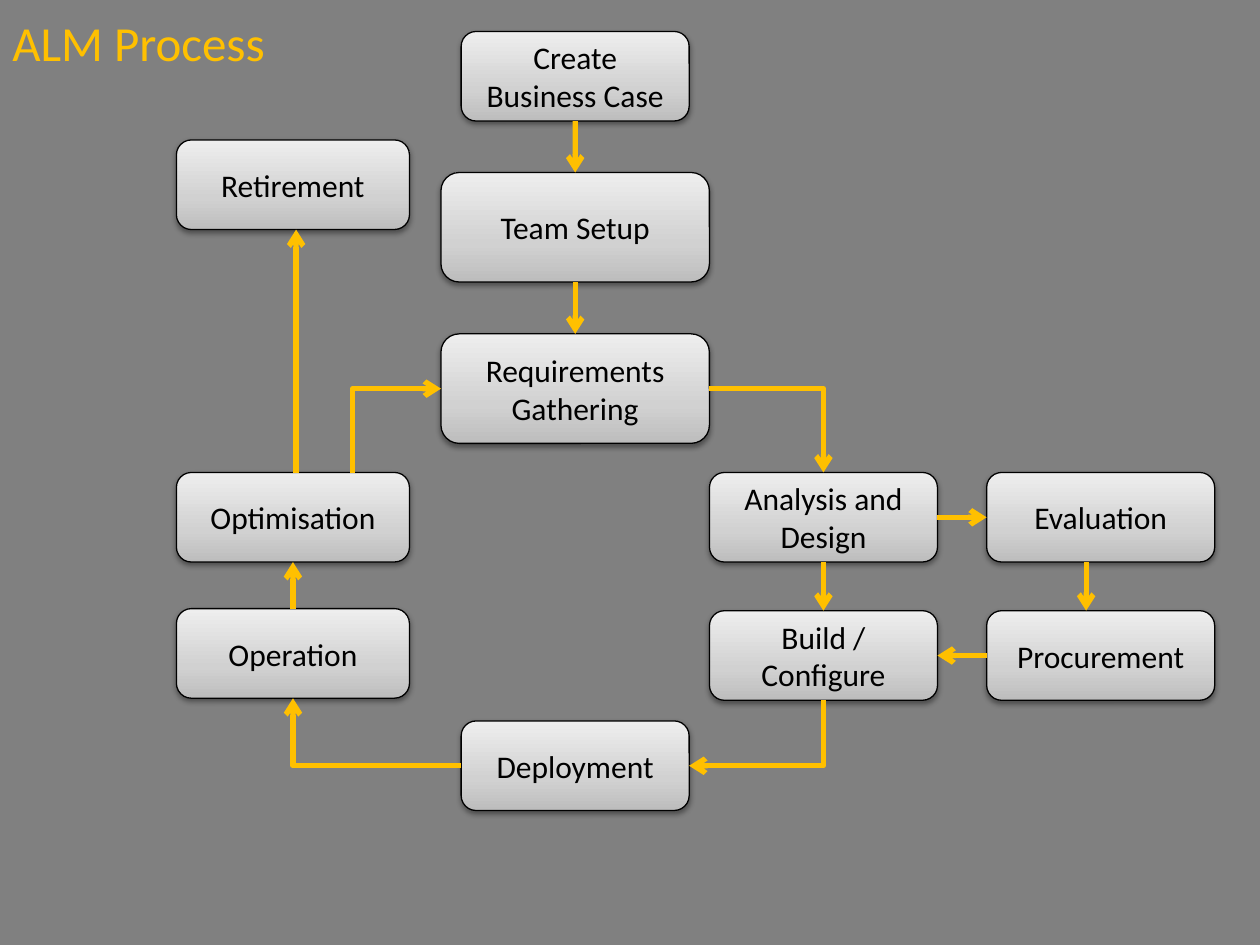
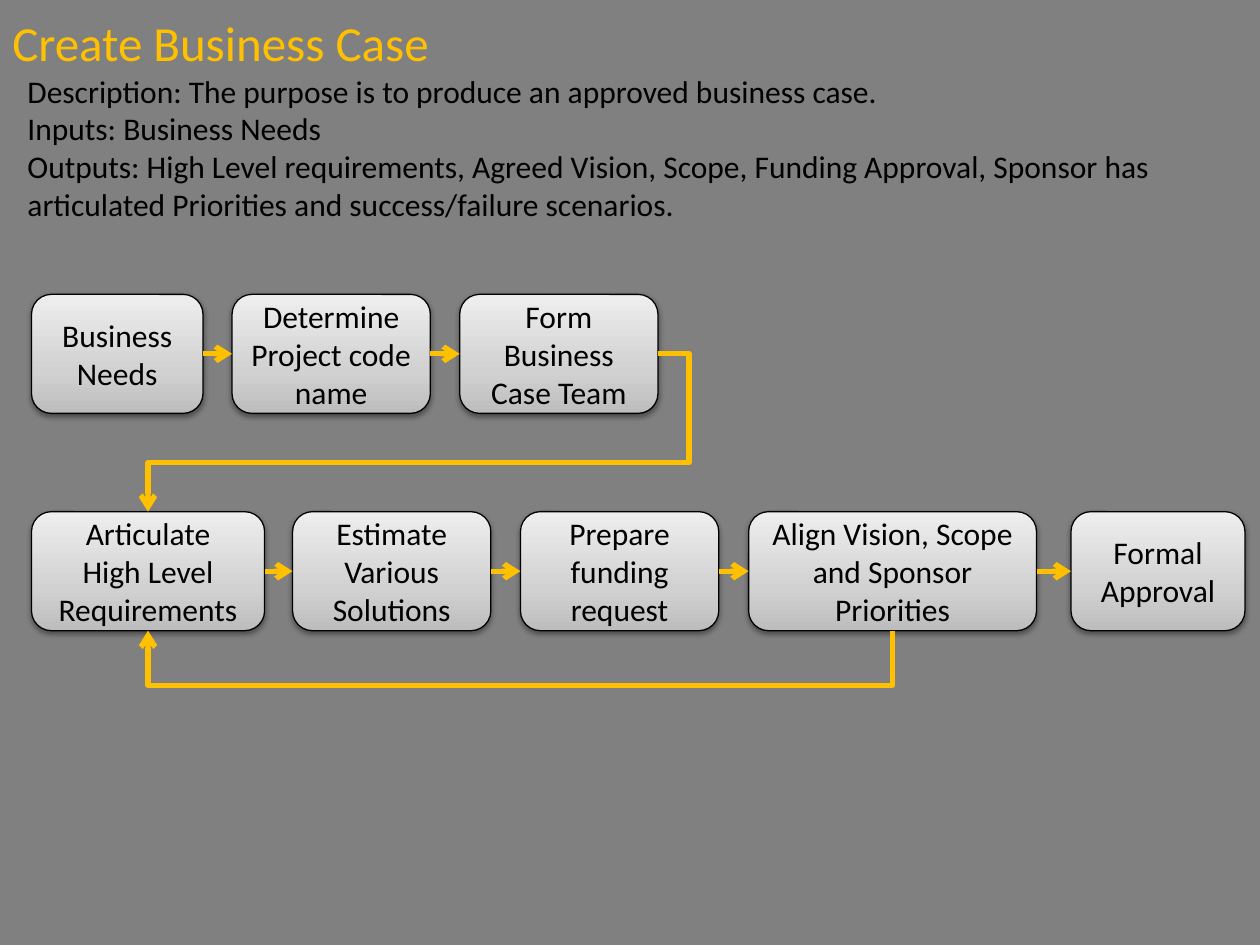
"""Build two flowchart slides: the ALM process and its first step."""
from dataclasses import dataclass
from typing import NamedTuple

from lxml import etree
from pptx import Presentation
from pptx.dml.color import RGBColor
from pptx.enum.shapes import MSO_CONNECTOR, MSO_SHAPE
from pptx.enum.text import MSO_ANCHOR, MSO_AUTO_SIZE, PP_ALIGN
from pptx.oxml.ns import qn
from pptx.util import Pt

ROUNDED = MSO_SHAPE.ROUNDED_RECTANGLE
STRAIGHT, ELBOW = MSO_CONNECTOR.STRAIGHT, MSO_CONNECTOR.ELBOW
LEFT, CENTER, MIDDLE = PP_ALIGN.LEFT, PP_ALIGN.CENTER, MSO_ANCHOR.MIDDLE
GROW = MSO_AUTO_SIZE.SHAPE_TO_FIT_TEXT

GREY = RGBColor(0x80, 0x80, 0x80)
GOLD = RGBColor(0xFF, 0xC0, 0x00)
BLACK = RGBColor(0x00, 0x00, 0x00)
STEP_GRADIENT = (
    (0, RGBColor(0xBD, 0xBD, 0xBD)),
    (35, RGBColor(0xD1, 0xD1, 0xD1)),
    (100, RGBColor(0xEE, 0xEE, 0xEE)),
)
FONT = "Calibri"
TITLE_SIZE, BODY_SIZE = 28, 18


class Point(NamedTuple):
    """A place on the slide, in points."""
    x: float
    y: float


@dataclass(frozen=True)
class Step:
    """A process box; lengths in points."""
    text: str
    left: float
    top: float
    width: float
    height: float

    def port(self, side: str, shift: float = 0) -> Point:
        """Return the middle of a side, moved along that side by shift."""
        if side in ("left", "right"):
            x = self.left + (self.width if side == "right" else 0)
            return Point(x, self.top + self.height / 2 + shift)
        y = self.top + (self.height if side == "bottom" else 0)
        return Point(self.left + self.width / 2 + shift, y)


def add_page(deck, title: str, title_width: float):
    """Add a grey page with its gold title."""
    page = deck.slides.add_slide(deck.slide_layouts[6])
    page.background.fill.solid()
    page.background.fill.fore_color.rgb = GREY
    add_text(page, title, (0, 3.6, title_width, 41), TITLE_SIZE, GOLD, wrap=False)
    return page


def write(frame, text: str, size: float, color: RGBColor, align) -> None:
    """Fill a text frame, one paragraph to a line of text."""
    frame.text = text
    for para in frame.paragraphs:
        para.alignment = align
        para.font.name = FONT
        para.font.size = Pt(size)
        para.font.color.rgb = color


def add_text(page, text: str, area: tuple, size: float, color: RGBColor,
             wrap: bool = True) -> None:
    """Add a left-aligned text box."""
    box = page.shapes.add_textbox(*map(Pt, area))
    box.text_frame.word_wrap = wrap
    box.text_frame.auto_size = GROW
    write(box.text_frame, text, size, color, LEFT)


def add_step(page, step: Step) -> None:
    """Draw a process box with its gradient and soft shadow."""
    box = page.shapes.add_shape(
        ROUNDED, Pt(step.left), Pt(step.top), Pt(step.width), Pt(step.height))
    box.fill.gradient()
    box.fill.gradient_angle = 90
    stops = box._element.spPr.find(".//" + qn("a:gsLst"))
    for stop in list(stops):
        stops.remove(stop)
    for position, color in STEP_GRADIENT:
        stop = etree.SubElement(stops, qn("a:gs"), pos=str(position * 1000))
        etree.SubElement(stop, qn("a:srgbClr"), val=str(color))
    box.line.color.rgb = BLACK
    box.line.width = Pt(0.75)

    box.shadow.inherit = False
    effects = box._element.spPr.find(qn("a:effectLst"))
    shadow = etree.SubElement(
        effects, qn("a:outerShdw"), blurRad=str(Pt(3.1)), dist=str(Pt(1.6)),
        dir="5400000", rotWithShape="0")
    shade = etree.SubElement(shadow, qn("a:srgbClr"), val=str(BLACK))
    etree.SubElement(shade, qn("a:alpha"), val="38000")

    box.text_frame.word_wrap = True
    box.text_frame.vertical_anchor = MIDDLE
    write(box.text_frame, step.text, BODY_SIZE, BLACK, CENTER)


def add_elbow(page, start: Point, bends: tuple, end: Point):
    """Add an elbow connector, turned so that it sets out towards its first bend."""
    run_x, run_y = bends[0].x - start.x, bends[0].y - start.y
    if abs(run_x) > abs(run_y):
        ahead, turn = (1 if run_x > 0 else -1, 0), 0 if run_x > 0 else 180
    else:
        ahead, turn = (0, 1 if run_y > 0 else -1), 90 if run_y > 0 else 270

    def local(point: Point) -> tuple[float, float]:
        """Measure a point from the start, ahead and to the right-hand side."""
        dx, dy = point.x - start.x, point.y - start.y
        return dx * ahead[0] + dy * ahead[1], dy * ahead[0] - dx * ahead[1]

    along, across = local(end)
    along = along or 0.1  # bends are fractions of this length
    center = Point((start.x + end.x) / 2, (start.y + end.y) / 2)
    arrow = page.shapes.add_connector(
        ELBOW, Pt(center.x - along / 2), Pt(center.y - across / 2),
        Pt(center.x + along / 2), Pt(center.y + across / 2))
    arrow.rotation = turn

    geometry = arrow._element.spPr.find(qn("a:prstGeom"))
    geometry.set("prst", f"bentConnector{len(bends) + 1}")
    guides = geometry.find(qn("a:avLst"))
    fractions = []
    if len(bends) > 1:
        fractions.append(local(bends[0])[0] / along)
    if len(bends) > 2:
        fractions.append(local(bends[1])[1] / across)
    for number, fraction in enumerate(fractions, 1):
        etree.SubElement(guides, qn("a:gd"), name=f"adj{number}",
                         fmla=f"val {round(fraction * 100000)}")
    return arrow


def add_arrow(page, start: Point, *stops: Point) -> None:
    """Draw a gold arrow from start to the last stop, bending at the others."""
    *bends, end = stops
    if bends:
        arrow = add_elbow(page, start, tuple(bends), end)
    else:
        arrow = page.shapes.add_connector(STRAIGHT, *map(Pt, (*start, *end)))
    arrow.line.color.rgb = GOLD
    arrow.line.width = Pt(3)
    etree.SubElement(arrow.line._get_or_add_ln(), qn("a:tailEnd"), type="arrow")
    etree.SubElement(arrow._element.spPr, qn("a:effectLst"))


def build_process(deck) -> None:
    """Build the overview of the whole process."""
    page = add_page(deck, "ALM Process", 160.6)
    main, wide, design, side, closing = 263.5, 252, 405.4, 563.8, 100.8
    width, wide_width, closing_width = 130.3, 153.4, 133.2
    height, tall = 51.2, 62.6

    case = Step("Create Business Case", main, 18, width, height)
    team = Step("Team Setup", wide, 98.6, wide_width, tall)
    needs = Step("Requirements Gathering", wide, 190.8, wide_width, tall)
    analysis = Step("Analysis and Design", design, 270, width, height)
    build = Step("Build / Configure", design, 349, width, height)
    evaluation = Step("Evaluation", side, 270, width, height)
    procurement = Step("Procurement", side, 349, width, height)
    deployment = Step("Deployment", main, 412, width, height)
    operation = Step("Operation", closing, 347.8, closing_width, height)
    optimisation = Step("Optimisation", closing, 270, closing_width, height)
    retirement = Step("Retirement", closing, 80, closing_width, height)
    for step in (case, team, needs, analysis, build, evaluation, procurement,
                 deployment, operation, optimisation, retirement):
        add_step(page, step)

    for upper, lower, shift in ((case, team, 0), (team, needs, 0),
                                (analysis, build, 0),
                                (evaluation, procurement, -8.3)):
        add_arrow(page, upper.port("bottom", shift), lower.port("top", shift))
    for lower, upper, shift in ((operation, optimisation, 0),
                                (optimisation, retirement, 1.8)):
        add_arrow(page, lower.port("top", shift), upper.port("bottom", shift))
    add_arrow(page, analysis.port("right"), evaluation.port("left"))
    add_arrow(page, procurement.port("left"), build.port("right"))

    for start, end in ((needs.port("right"), analysis.port("top")),
                       (deployment.port("left"), operation.port("bottom"))):
        add_arrow(page, start, Point(end.x, start.y), end)
    for start, end in ((build.port("bottom"), deployment.port("right")),
                       (optimisation.port("top", 34.2), needs.port("left"))):
        add_arrow(page, start, Point(start.x, end.y), end)


def build_business_case(deck) -> None:
    """Build the detail of the business case step."""
    page = add_page(deck, "Create Business Case", 254.9)
    add_text(
        page,
        "Description: The purpose is to produce an approved business case.\n"
        "Inputs: Business Needs\n"
        "Outputs: High Level requirements, Agreed Vision, Scope, Funding Approval, "
        "Sponsor has articulated Priorities and success/failure scenarios.",
        (8.6, 37.4, 658, 94.3), BODY_SIZE, BLACK)

    height, width = 68, 113.3
    first_row = [Step(text, left, 168.2, step_width, height)
                 for text, left, step_width in (
                     ("Business Needs", 18, 98),
                     ("Determine\nProject code name", 132.6, width),
                     ("Form Business Case Team", 262.7, width))]
    second_row = [Step(text, left, 292.4, step_width, height)
                  for text, left, step_width in (
                      ("Articulate\nHigh Level Requirements", 18, 133.2),
                      ("Estimate Various Solutions", 167.2, width),
                      ("Prepare funding request", 297.4, width),
                      ("Align Vision, Scope and Sponsor Priorities", 427.8, 164.5),
                      ("Formal Approval", 612, 99.4))]
    for row in (first_row, second_row):
        for step in row:
            add_step(page, step)
        for step, following in zip(row, row[1:]):
            add_arrow(page, step.port("right"), following.port("left"))

    articulate, align = second_row[0], second_row[3]
    start, end = first_row[-1].port("right"), articulate.port("top")
    turn_x, lane_y = 393.9, 264.5
    add_arrow(page, start, Point(turn_x, start.y), Point(turn_x, lane_y),
              Point(end.x, lane_y), end)
    start, end = align.port("bottom"), articulate.port("bottom")
    return_y = 388
    add_arrow(page, start, Point(start.x, return_y), Point(end.x, return_y), end)


def main() -> None:
    """Build and save the deck."""
    deck = Presentation()
    deck.slide_width, deck.slide_height = Pt(720), Pt(540)
    build_process(deck)
    build_business_case(deck)
    deck.save("out.pptx")


main()
